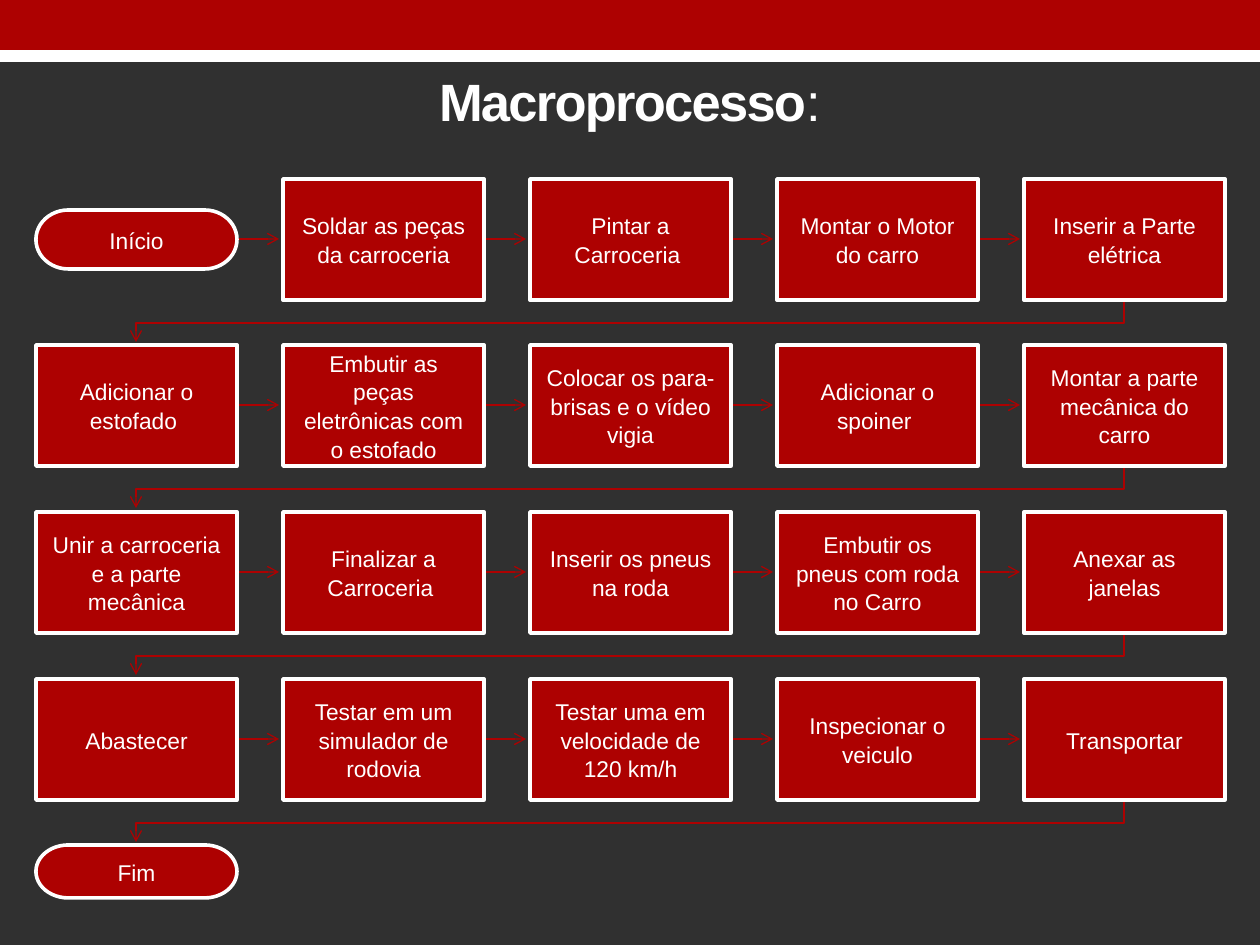
from lxml.etree import SubElement
from pptx import Presentation
from pptx.dml.color import RGBColor
from pptx.enum.shapes import MSO_CONNECTOR as Connector, MSO_SHAPE as Shape
from pptx.enum.text import MSO_ANCHOR as Anchor, PP_ALIGN as Align
from pptx.oxml.ns import qn
from pptx.util import Emu, Pt

RED, WHITE, DARK = "AD0101", "FFFFFF", "303030"
FONT = "Arial"
TITLE = [("Macroprocesso", True), (":", False)]
STEPS = [
    ["Início", "Soldar as peças da carroceria", "Pintar a Carroceria ",
     "Montar o Motor do carro", "Inserir a Parte elétrica"],
    ["Adicionar o estofado ", "Embutir as peças eletrônicas com o estofado",
     "Colocar os para-brisas e o vídeo vigia", "Adicionar o spoiner ",
     "Montar a parte mecânica do carro"],
    ["Unir a carroceria e a parte mecânica", "Finalizar a Carroceria ",
     "Inserir os pneus na roda", "Embutir os pneus com roda no Carro",
     "Anexar as janelas"],
    ["Abastecer", "Testar em um simulador de rodovia",
     "Testar uma em velocidade de 120 km/h", "Inspecionar o veiculo",
     "Transportar"],
    ["Fim"],
]
TERMINATOR_HEIGHTS = {"Início": 59, "Fim": 53}
SCALE = 914400 // 126
LEFT, TOP = 36, 179
BOX_WIDTH, BOX_HEIGHT = 201, 121
COLUMN_STEP, THREE_ROWS = 247, 500
ARROW_LENGTH, ELBOW_DROP = 42, 23


def px(value):
    return Emu(round(value * SCALE))


def color(value):
    return RGBColor.from_string(value)


def write(frame, spans, size, spacing=0, line=1.0, inset=13, after=0):
    frame.word_wrap = True
    frame.vertical_anchor = Anchor.MIDDLE
    frame.margin_left = frame.margin_right = px(inset)
    frame.margin_top = frame.margin_bottom = 0
    para = frame.paragraphs[0]
    para.alignment = Align.CENTER
    para.line_spacing = line
    para.space_after = Pt(after)
    for text, bold in spans:
        span = para.add_run()
        span.text = text
        span.font.name, span.font.size, span.font.bold = FONT, Pt(size), bold
        span.font.color.rgb = color(WHITE)
        if spacing:
            span.font._element.set("spc", str(spacing * 100))


def add_box(slide, kind, left, top, width, height, fill, outline=None):
    box = slide.shapes.add_shape(kind, px(left), px(top), px(width), px(height))
    box.shadow.inherit = False
    box.fill.solid()
    box.fill.fore_color.rgb = color(fill)
    if outline:
        box.line.color.rgb = color(outline)
        box.line.width = Pt(2.08)
    else:
        box.line.fill.background()
    return box


def style_arrow(arrow):
    arrow.line.color.rgb = color(RED)
    arrow.line.width = Pt(0.75)
    properties = arrow._element.spPr
    SubElement(properties.find(qn("a:ln")), qn("a:tailEnd"), type="arrow")
    if properties.find(qn("a:effectLst")) is None:
        SubElement(properties, qn("a:effectLst"))


def add_arrow(slide, left, middle):
    style_arrow(slide.shapes.add_connector(
        Connector.STRAIGHT, px(left), px(middle), px(left + ARROW_LENGTH), px(middle)))


def add_return(slide, start, bottom, end):
    turn = bottom + ELBOW_DROP
    builder = slide.shapes.build_freeform(start, bottom, scale=SCALE)
    builder.add_line_segments(
        [(start, turn), (end, turn), (end, bottom + ARROW_LENGTH)], close=False)
    elbow = builder.convert_to_shape()
    elbow.fill.background()
    elbow.shadow.inherit = False
    style_arrow(elbow)


def add_step(slide, text, left, top):
    height = TERMINATOR_HEIGHTS.get(text, BOX_HEIGHT)
    kind = Shape.FLOWCHART_TERMINATOR if text in TERMINATOR_HEIGHTS else Shape.RECTANGLE
    if text == STEPS[0][0]:
        top += (BOX_HEIGHT - height) / 2
    box = add_box(slide, kind, left, top, BOX_WIDTH, height, RED, WHITE)
    write(box.text_frame, [(text, False)], 13, line=1.05)


def main():
    deck = Presentation()
    deck.slide_width, deck.slide_height = px(1260), px(945)
    slide = deck.slides.add_slide(deck.slide_layouts[5])
    slide.background.fill.solid()
    slide.background.fill.fore_color.rgb = color(DARK)
    add_box(slide, Shape.RECTANGLE, 0, 30, 1260, 32, WHITE)
    add_box(slide, Shape.RECTANGLE, 0, 0, 1260, 50, RED)

    title = slide.shapes.title
    title.left, title.top, title.width, title.height = map(px, (63, 55, 1134, 92))
    write(title.text_frame, TITLE, 30, spacing=-1, after=6)

    for row, steps in enumerate(STEPS):
        top = TOP + row * THREE_ROWS // 3
        for column, text in enumerate(steps):
            left = LEFT + column * COLUMN_STEP
            if column < len(steps) - 1:
                add_arrow(slide, left + BOX_WIDTH, top + BOX_HEIGHT // 2)
            elif row < len(STEPS) - 1:
                half = BOX_WIDTH // 2
                add_return(slide, left + half, top + BOX_HEIGHT, LEFT + half)
            add_step(slide, text, left, top)
    deck.save("out.pptx")


if __name__ == "__main__":
    main()
